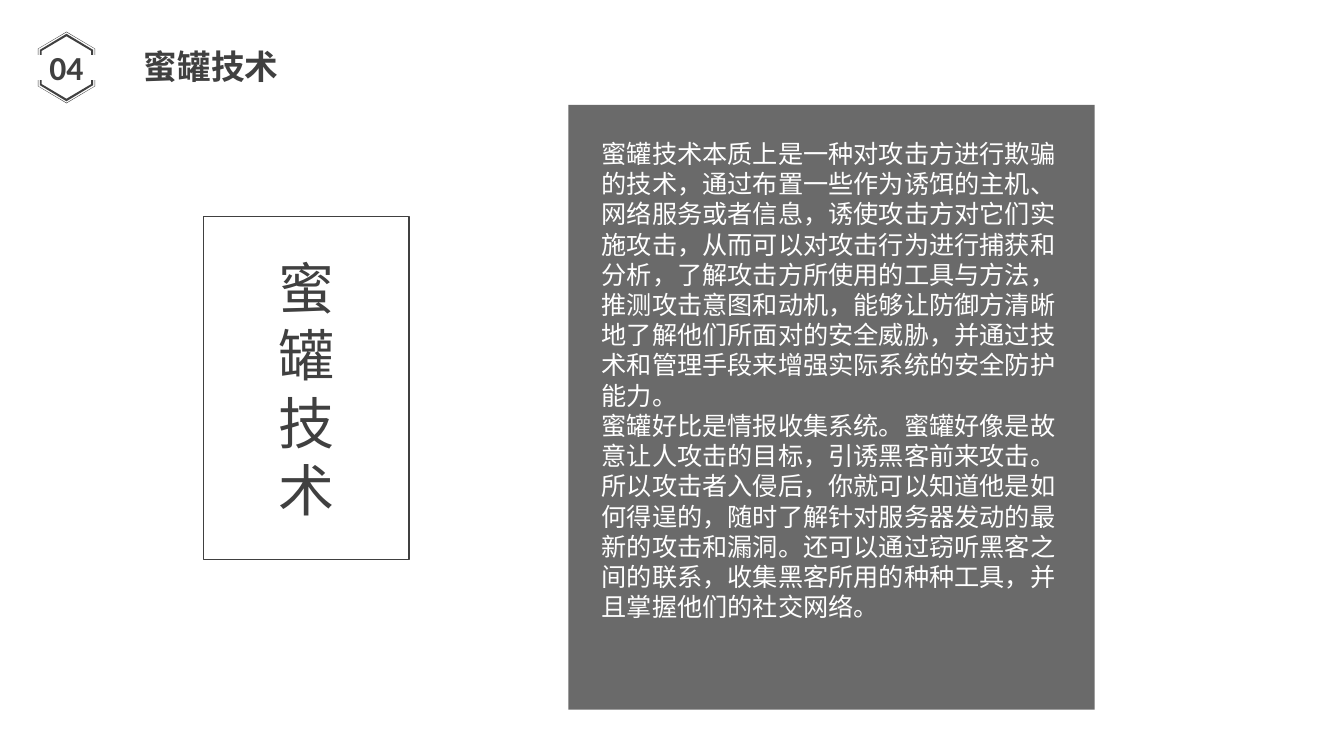
from pptx import Presentation
from pptx.dml.color import RGBColor
from pptx.enum.shapes import MSO_SHAPE
from pptx.enum.text import MSO_ANCHOR, MSO_AUTO_SIZE, PP_ALIGN
from pptx.oxml.ns import qn
from pptx.util import Pt
from lxml.etree import SubElement

PX = 4572  # EMU; 200 px to the inch
COLORS = {"ink": "404040", "panel": "6A6A6A", "paper": "FFFFFF"}
CJK, LATIN = "Noto Sans CJK SC", "Calibri"

TOPIC = "蜜罐技术"
EXPLANATION = [
    "蜜罐技术本质上是一种对攻击方进行欺骗的技术，通过布置一些作为诱饵的主机、网络服务或者信息，"
    "诱使攻击方对它们实施攻击，从而可以对攻击行为进行捕获和分析，了解攻击方所使用的工具与方法，"
    "推测攻击意图和动机，能够让防御方清晰地了解他们所面对的安全威胁，"
    "并通过技术和管理手段来增强实际系统的安全防护能力。",
    "蜜罐好比是情报收集系统。蜜罐好像是故意让人攻击的目标，引诱黑客前来攻击。"
    "所以攻击者入侵后，你就可以知道他是如何得逞的，随时了解针对服务器发动的最新的攻击和漏洞。"
    "还可以通过窃听黑客之间的联系，收集黑客所用的种种工具，并且掌握他们的社交网络。",
]


def color(name):
    return RGBColor.from_string(COLORS[name])


def place(shape, box):
    shape.left, shape.top, shape.width, shape.height = (v * PX for v in box)


def write(shape, lines, size, ink, font=CJK, bold=False,
          align=PP_ALIGN.LEFT, anchor=MSO_ANCHOR.TOP, wrap=True):
    frame = shape.text_frame
    frame.text = "\n".join(lines)
    frame.word_wrap = wrap
    frame.auto_size = MSO_AUTO_SIZE.NONE
    frame.vertical_anchor = anchor
    for paragraph in frame.paragraphs:
        paragraph.alignment = align
        paragraph.space_before = Pt(0)
        props = paragraph._p.get_or_add_pPr()
        props.set("marL", "0")
        props.set("indent", "0")
        SubElement(props, qn("a:buNone"))
        face = paragraph.font
        face.size, face.bold, face.name = Pt(size), bold, font
        face.color.rgb = color(ink)
        SubElement(props.find(qn("a:defRPr")), qn("a:ea"), typeface=font)


def add_rect(slide, box, fill=None, line=None):
    rect = slide.shapes.add_shape(MSO_SHAPE.RECTANGLE, *(v * PX for v in box))
    rect.shadow.inherit = False
    if fill:
        rect.fill.solid()
        rect.fill.fore_color.rgb = color(fill)
    else:
        rect.fill.background()
    if line:
        rect.line.color.rgb = color(line)
        rect.line.width = Pt(1)
    else:
        rect.line.fill.background()
    return rect


def chevron(half, apex, shoulder, end):
    """Outline of a hexagon's upper half, measured from its centre."""
    return [(-half, -end), (-half, -shoulder), (0, -apex),
            (half, -shoulder), (half, -end)]


def add_badge(slide, box, number):
    left, top, width, height = box
    center_x, center_y = left + width // 2, top + height // 2
    label = slide.shapes.add_textbox(*(v * PX for v in box))
    write(label, [number], 24, "ink", LATIN, True, PP_ALIGN.CENTER, MSO_ANCHOR.MIDDLE)

    # Thin outer and thick inner band, above and mirrored below
    bands = [((57, 71, 37, 25), (56, 70, 37, 25)),
             ((53, 67, 35, 25), (49, 62, 33, 25))]
    for side in (1, -1):
        for outer, inner in bands:
            points = [((center_x + x) * PX, (center_y + side * y) * PX)
                      for x, y in chevron(*outer) + chevron(*inner)[::-1]]
            builder = slide.shapes.build_freeform(*points[0])
            builder.add_line_segments(points[1:], close=True)
            band = builder.convert_to_shape()
            band.shadow.inherit = False
            band.fill.solid()
            band.fill.fore_color.rgb = color("ink")
            band.line.fill.background()


def add_heading(slide, box):
    title = slide.shapes.title
    place(title, box)
    write(title, [TOPIC], 24, "ink", bold=True, align=PP_ALIGN.CENTER, wrap=False)


def add_topic_card(slide, box):
    card = add_rect(slide, box, line="ink")
    write(card, TOPIC, 40, "ink", align=PP_ALIGN.CENTER, anchor=MSO_ANCHOR.MIDDLE)


def add_explanation(slide, box):
    left, top, width, height = box
    panel = add_rect(slide, box, fill="panel")
    body = slide.placeholders[1]
    place(body, (left + 46, top + 56, width - 90, height - 148))
    write(body, EXPLANATION, 18, "paper")
    panel._element.addnext(body._element)  # text in front of its panel


def main():
    deck = Presentation()
    deck.slide_width, deck.slide_height = 2667 * PX, 1500 * PX
    slide = deck.slides.add_slide(deck.slide_layouts[1])
    add_explanation(slide, (1128, 208, 1044, 1200))
    add_topic_card(slide, (404, 430, 408, 680))
    add_heading(slide, (264, 82, 310, 100))
    add_badge(slide, (56, 74, 152, 120), "04")
    deck.save("out.pptx")


if __name__ == "__main__":
    main()
